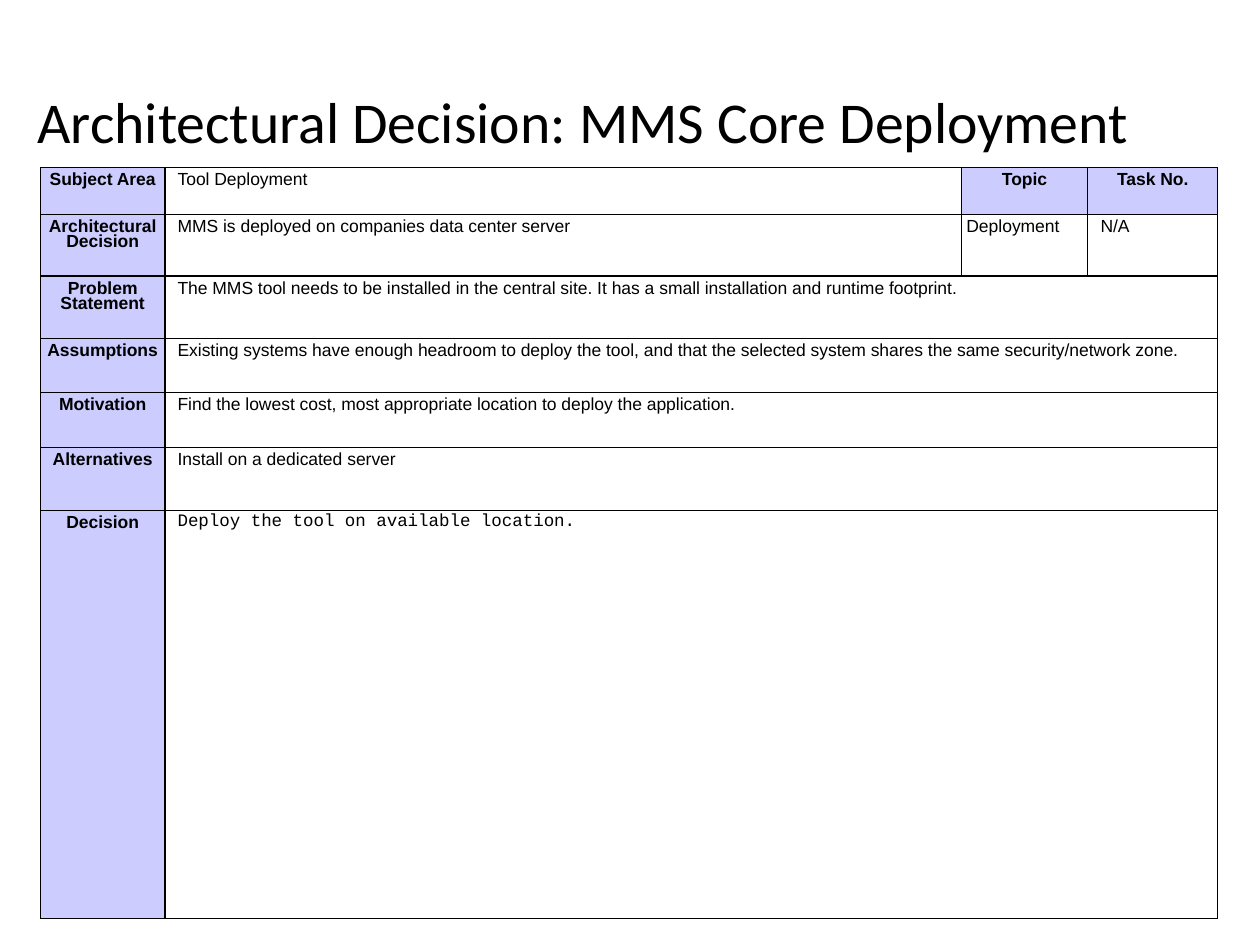
import pptx
import pptx.dml.color
import pptx.enum.text
import pptx.oxml.ns
import pptx.util
from lxml import etree

Pt = pptx.util.Pt
ALIGN = pptx.enum.text.PP_ALIGN
ANCHOR = pptx.enum.text.MSO_ANCHOR


def color(hex_value):
    return pptx.dml.color.RGBColor.from_string(hex_value)


def apply(target, values):
    for name, value in values.items():
        setattr(target, name, value)


class DecisionSlide:
    ink = "000000"
    label_fill = "CCCCFF"
    thin, thick = 0.57, 1.42

    def __init__(self, slide):
        self.slide = slide

    def add_text(self, frame, text, font, size, spacing, bold=False, align=ALIGN.LEFT):
        paragraph = frame.paragraphs[0]
        apply(paragraph, {"alignment": align, "line_spacing": spacing})
        run = paragraph.add_run()
        run.text = text
        apply(run.font, {"name": font, "size": Pt(size), "bold": bold})
        run.font.color.rgb = color(self.ink)

    def title(self, text, left, top, width, height):
        frame = self.slide.shapes.add_textbox(
            Pt(left), Pt(top), Pt(width), Pt(height)
        ).text_frame
        apply(frame, {"word_wrap": True, "vertical_anchor": ANCHOR.MIDDLE})
        self.add_text(frame, text, "Calibri", 33, 0.9)

    def table(self, left, top, widths, heights):
        table = self.slide.shapes.add_table(
            len(heights), len(widths), Pt(left), Pt(top), Pt(sum(widths)), Pt(sum(heights))
        ).table
        apply(table, {"first_row": False, "horz_banding": False})
        for column, width in zip(table.columns, widths):
            column.width = Pt(width)
        for row, height in zip(table.rows, heights):
            row.height = Pt(height)
        return table

    def borders(self, cell, weights):
        properties = cell._tc.get_or_add_tcPr()
        for index, (side, weight) in enumerate(weights.items()):
            line = etree.Element(pptx.oxml.ns.qn(f"a:ln{side}"), w=str(int(Pt(weight))))
            fill = etree.SubElement(line, pptx.oxml.ns.qn("a:solidFill"))
            etree.SubElement(fill, pptx.oxml.ns.qn("a:srgbClr"), val=self.ink)
            properties.insert(index, line)

    def cell(self, cell, row, column, label):
        inset = 3 if label or (row, column) == (1, 2) else 7.2
        apply(cell, {
            "margin_left": Pt(inset), "margin_right": Pt(inset),
            "margin_top": Pt(3.6), "margin_bottom": Pt(3.6),
            "vertical_anchor": ANCHOR.TOP,
        })
        if label:
            cell.fill.solid()
            cell.fill.fore_color.rgb = color(self.label_fill)
        else:
            cell.fill.background()
        self.borders(cell, {
            "L": self.thick if column == 1 else self.thin,
            "R": self.thick if column == 0 else self.thin,
            "T": self.thick if row == 2 else self.thin,
            "B": self.thick if row == 1 else self.thin,
        })

    def fill_table(self, table, rows):
        for row, texts in enumerate(rows):
            if len(texts) == 2:
                table.cell(row, 1).merge(table.cell(row, 3))
            for column in range(len(table.columns)):
                cell = table.cell(row, column)
                label = column == 0 or (row == 0 and column > 1)
                self.cell(cell, row, column, label)
                if column < len(texts):
                    code = row == len(rows) - 1 and not label
                    self.add_text(
                        cell.text_frame, texts[column],
                        "Courier New" if code else "Arial", 10,
                        0.62 if code else 0.76, label,
                        ALIGN.CENTER if label else ALIGN.LEFT,
                    )


def main():
    deck = pptx.Presentation()
    apply(deck, {"slide_width": Pt(720), "slide_height": Pt(540)})
    page = DecisionSlide(deck.slides.add_slide(deck.slide_layouts[6]))
    page.title("Architectural Decision: MMS Core Deployment", 14.4, 46.8, 682.6, 49)
    decision_table = page.table(
        23, 95.6, [71.3, 455, 72.4, 74.1], [26.8, 35.4, 35.4, 31.3, 31.3, 36, 233.2]
    )
    page.fill_table(decision_table, [
        ["Subject Area", "Tool Deployment", "Topic", "Task No."],
        ["Architectural Decision", "MMS is deployed on companies data center server",
         "Deployment", "N/A"],
        ["Problem Statement", "The MMS tool needs to be installed in the central site. "
         "It has a small installation and runtime footprint."],
        ["Assumptions", "Existing systems have enough headroom to deploy the tool, "
         "and that the selected system shares the same security/network zone."],
        ["Motivation", "Find the lowest cost, most appropriate location "
         "to deploy the application."],
        ["Alternatives", "Install on a dedicated server"],
        ["Decision", "Deploy the tool on available location."],
    ])
    deck.save("out.pptx")


if __name__ == "__main__":
    main()
